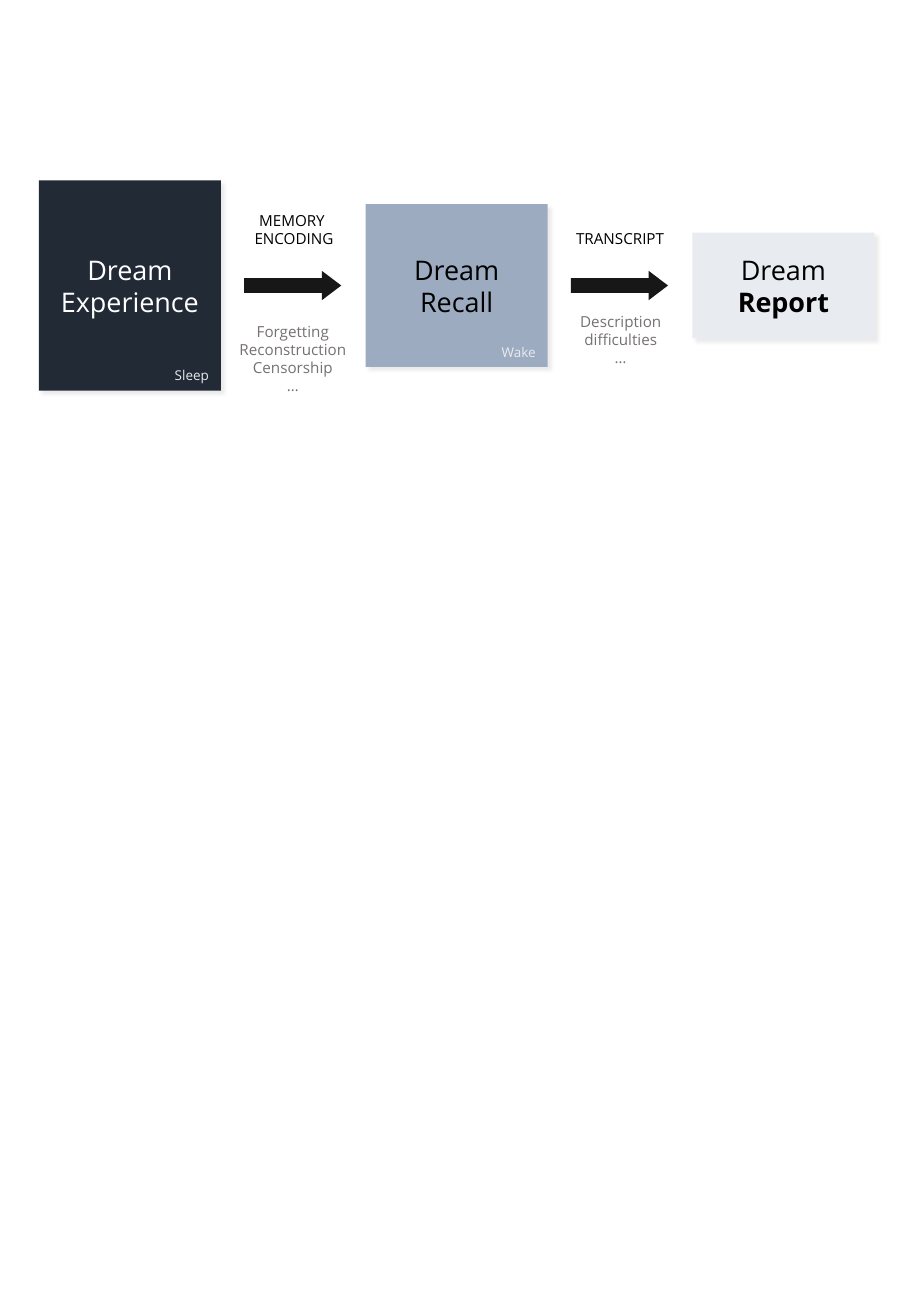
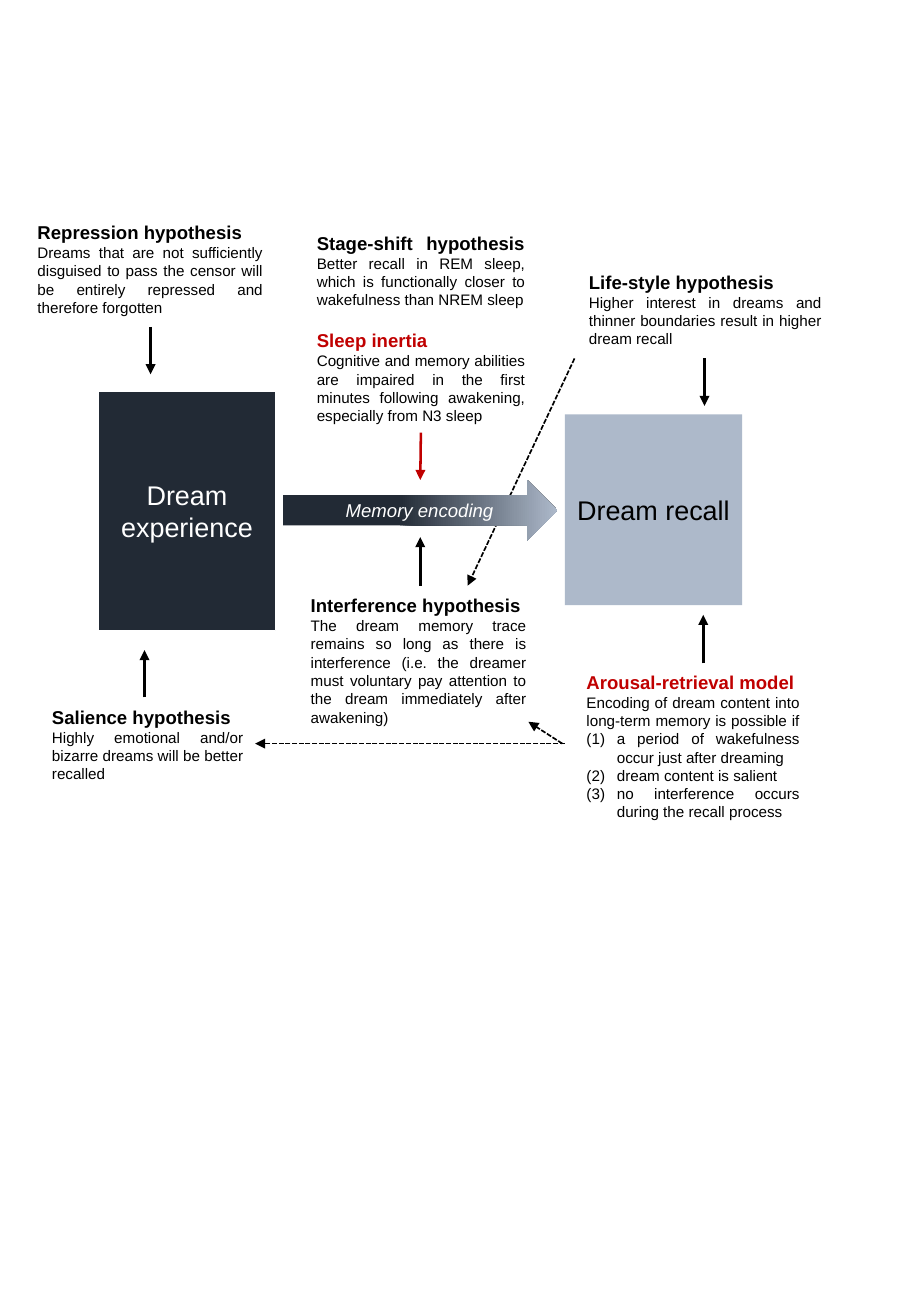
from lxml.etree import SubElement as Sub
from pptx import Presentation
from pptx.dml.color import RGBColor as Rgb
from pptx.enum.dml import MSO_LINE as Dash
from pptx.enum.shapes import MSO_CONNECTOR as Conn, MSO_SHAPE as Kind
from pptx.enum.text import MSO_ANCHOR as Anchor, MSO_AUTO_SIZE as Fit, PP_ALIGN as Align
from pptx.oxml.ns import qn
from pptx.util import Inches, Pt


class Theme:
    # colours
    night, mist, blue, steel = "222A35", "E8EBF0", "9CABC0", "ADB9CA"
    black, white, coal, grey = "000000", "FFFFFF", "181717", "767171"
    red, shade = "C00000", "D0CECE"
    # type sizes
    big, head, body, tag = Pt(16), Pt(11), Pt(9), Pt(8)
    # text styles
    stage = dict(name="Open Sans", size=big)
    strong = dict(stage, bold=True)
    step = dict(name="Open Sans", size=body)
    loss = dict(step, ink=grey)
    phase = dict(name="Open Sans", size=tag, ink=mist)
    block = dict(name="Arial", size=big)
    title = dict(name="Arial", size=head, bold=True)
    alert = dict(title, ink=red)
    plain = dict(name="Arial", size=body)
    label = dict(name="Arial", size=head, italic=True, ink=white)


# Grid: 75 columns across, 108.3 rows down
deck = Presentation()
deck.slide_width, deck.slide_height = Inches(7.5), Inches(10.83)
COL, ROW = deck.slide_width / 75, deck.slide_height / 108.3
blank = deck.slide_layouts[6]


def draw(page, at, paras=(), kind=None, fill=None, align=Align.CENTER, wrap=True):
    """Place a shape, or a text box if no kind is given; paras hold (text, style) runs."""
    x, y, w, h = at
    rect = [int(v) for v in (x * COL, y * ROW, w * COL, h * ROW)]
    if kind:
        item = page.shapes.add_shape(kind, *rect)
        item.shadow.inherit = False
        item.line.fill.background()
        if fill:
            item.fill.solid()
            item.fill.fore_color.rgb = Rgb.from_string(fill)
    else:
        item = page.shapes.add_textbox(*rect)
    frame = item.text_frame
    frame.word_wrap = wrap
    frame.auto_size = Fit.NONE if kind else Fit.SHAPE_TO_FIT_TEXT
    frame.vertical_anchor = Anchor.MIDDLE if kind else Anchor.TOP
    for i, runs in enumerate(paras):
        para = frame.add_paragraph() if i else frame.paragraphs[0]
        para.alignment = align
        for text, style in runs:
            run = para.add_run()
            run.text = text
            for key, val in dict(dict(ink=Theme.black), **style).items():
                if key == "ink":
                    run.font.color.rgb = Rgb.from_string(val)
                else:
                    setattr(run.font, key, val)
    return item


def link(page, start, end, ink=Theme.black, dash=False):
    """Draw a straight arrow between two grid points."""
    ends = [int(v) for x, y in (start, end) for v in (x * COL, y * ROW)]
    line = page.shapes.add_connector(Conn.STRAIGHT, *ends)
    line.line.color.rgb = Rgb.from_string(ink)
    line.line.width = Pt(1 if dash else 1.5)
    if dash:
        line.line.dash_style = Dash.SQUARE_DOT
    Sub(line.line._get_or_add_ln(), qn("a:tailEnd"), type="triangle")
    Sub(line._element.spPr, qn("a:effectLst"))
    return line


# Slide 1: from experience to report
page = deck.slides.add_slide(blank)
left, pitch, wide, mid = 3.2, 26.9, 15, 23.5
pale = dict(Theme.stage, ink=Theme.white)
stages = [
    (17.3, Theme.night, [[("Dream", pale)], [("Experience", pale)]], "Sleep", 5.3),
    (13.4, Theme.blue, [[("Dream Recall", Theme.stage)]], "Wake", 7.5),
    (8.7, Theme.mist, [[("Dream ", Theme.stage), ("Report", Theme.strong)]], None, 0),
]
for i, (high, fill, paras, phase, span) in enumerate(stages):
    x, y = left + i * pitch, mid - high / 2
    card = draw(page, (x, y, wide, high), paras, Kind.RECTANGLE, fill)
    glow = Sub(card._element.spPr.find(qn("a:effectLst")), qn("a:outerShdw"),
               blurRad=str(Pt(2)), dist=str(Pt(3)), dir="2700000", algn="tl", rotWithShape="0")
    tint = Sub(glow, qn("a:srgbClr"), val=Theme.shade)
    Sub(tint, qn("a:alpha"), val="40000")
    if phase:
        draw(page, (x + wide - span, y + high - 2.4, span, 2.4),
             [[(phase, Theme.phase)]], align=Align.RIGHT)

# Steps between the stages
steps = [
    (["MEMORY ", "ENCODING"], (19.9, 16.9, 8.6, 4),
     ["Forgetting", "Reconstruction", "Censorship", "…"], (18.7, 26, 10.8, 7.1)),
    (["TRANSCRIPT"], (46.2, 18.4, 9.7, 2.5),
     ["Description difficulties", "…"], (45.7, 25.2, 10.8, 5.6)),
]
for i, (names, top, losses, low) in enumerate(steps):
    arrow = draw(page, (20.1 + i * pitch, 22.3, 8, 2.4), kind=Kind.RIGHT_ARROW, fill=Theme.coal)
    arrow.adjustments[1] = 0.66
    draw(page, top, [[(name, Theme.step)] for name in names], wrap=False)
    draw(page, low, [[(loss, Theme.loss)] for loss in losses])

# Slide 2: hypotheses around memory encoding
page = deck.slides.add_slide(blank)
link(page, (47.3, 29.5), (38.5, 48.2), dash=True)

# Encoding arrow and its two ends
arrow = draw(page, (23.3, 39.5, 22.6, 5), kind=Kind.RIGHT_ARROW)
arrow.fill.gradient()
arrow.fill.gradient_angle = 0
for stop, (pos, ink) in zip(arrow.fill.gradient_stops, [(0.42, Theme.night), (1, Theme.steel)]):
    stop.position = pos
    stop.color.rgb = Rgb.from_string(ink)
past = draw(page, (8.1, 32.2, 14.6, 19.7),
            [[("Dream experience", dict(Theme.block, ink=Theme.white))]],
            Kind.RECTANGLE, Theme.night)
past.line.color.rgb = Rgb.from_string(Theme.white)
past.line.width = Pt(1)
draw(page, (46.5, 34.1, 14.6, 15.7), [[("Dream recall", Theme.block)]],
     Kind.RECTANGLE, Theme.steel)
draw(page, (23.2, 40.6, 22.7, 2.9), [[("Memory encoding", Theme.label)]])

# Hypotheses: place, heading, style, lines below
ideas = [
    ((3.3, 57.6, 17.7, 7.4), "Salience hypothesis", Theme.title,
     ["Highly emotional and/or bizarre dreams will be better recalled"]),
    ((2.1, 17.7, 20.5, 8.9), "Repression hypothesis", Theme.title,
     ["Dreams that are not sufficiently disguised to pass the censor will be entirely "
      "repressed and therefore forgotten"]),
    ((24.6, 48.4, 19.7, 11.9), "Interference hypothesis", Theme.title,
     ["The dream memory trace remains so long as there is interference (i.e. the dreamer "
      "must voluntary pay attention to the dream immediately after awakening)"]),
    ((47.5, 21.8, 21.1, 7.4), "Life-style hypothesis", Theme.title,
     ["Higher interest in dreams and thinner boundaries result in higher dream recall"]),
    ((47.3, 54.7, 19.5, 13.5), "Arousal-retrieval model", Theme.alert,
     ["Encoding of dream content into long-term memory is possible if ",
      "a period of wakefulness occur just after dreaming",
      "dream content is salient",
      "no interference occurs during the recall process"]),
]
for at, head, style, lines in ideas:
    note = draw(page, at, [[(head, style)]] + [[(line, Theme.plain)] for line in lines],
                align=Align.JUSTIFY)
    # Lines after the first are numbered conditions
    for para in note.text_frame.paragraphs[2:]:
        props = para._p.get_or_add_pPr()
        for key, val in dict(marL=Inches(0.25), indent=-Inches(0.25)).items():
            props.set(key, str(val))
        Sub(props, qn("a:buAutoNum"), type="arabicParenBoth")

# Stage shift and sleep inertia share one box
shift = draw(page, (25.1, 18.6, 19.1, 17), [
    [("Stage-shift hypothesis ", Theme.title),
     ("Better recall in REM sleep, which is functionally closer to wakefulness than NREM sleep",
      Theme.plain)],
    [("Sleep inertia", Theme.alert)],
    [("Cognitive and memory abilities are impaired in the first minutes following awakening, "
      "especially from N3 sleep", Theme.plain)],
], align=Align.JUSTIFY)
shift.text_frame.paragraphs[0].space_after = Pt(12)
link(page, (34.6, 35.6), (34.6, 39.5), Theme.red).begin_connect(shift, 2)

# Upright arrows: column, start row, signed length
for x, y, run in [(11.9, 57.4, -3.9), (12.4, 26.9, 3.9), (34.6, 48.2, -4),
                  (58, 29.5, 3.9), (57.9, 54.6, -4)]:
    link(page, (x, y), (x, y + run))

# Dashed arrows from the arousal-retrieval model
for start, end in [((46.3, 61.2), (43.5, 59.4)), ((46.5, 61.2), (21, 61.2))]:
    link(page, start, end, dash=True)

deck.save("out.pptx")
